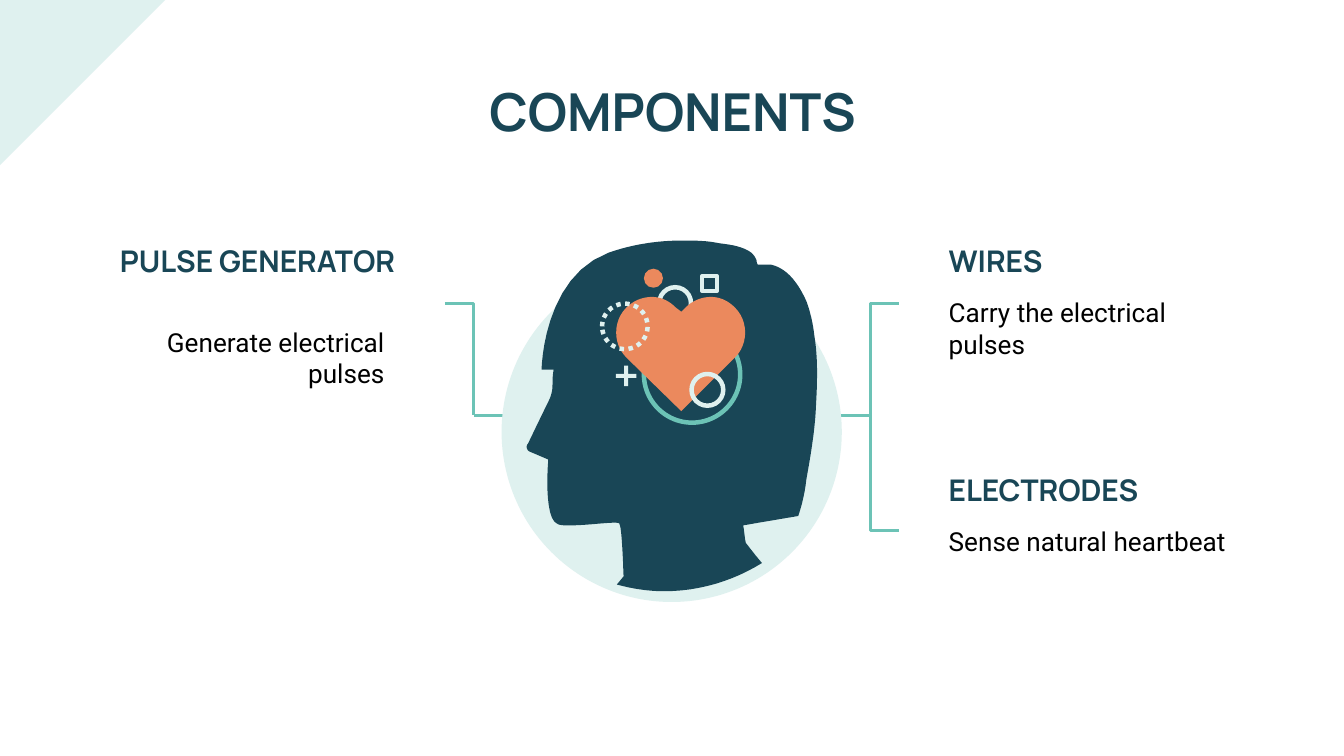
from dataclasses import dataclass

from lxml import etree
from pptx import Presentation, util as u
from pptx.dml.color import RGBColor
from pptx.enum import dml, shapes, text
from pptx.oxml.ns import qn


@dataclass(frozen=True)
class Theme:
    """Colours, fonts and type sizes."""
    navy: str = "194656"
    mint: str = "DFF1EF"
    teal: str = "6CC3B6"
    coral: str = "EB895D"
    black: str = "000000"
    heading_font: str = "Manrope"
    body_font: str = "Roboto"
    title_size: float = 28
    heading_size: float = 16
    body_size: float = 14
    connector_width: float = 1.5
    ornament_width: float = 2.4


@dataclass(frozen=True)
class Component:
    """A labelled part; lengths in centimetres."""
    name: str
    description: str
    name_at: tuple[float, float]
    description_at: tuple[float, float]
    align: text.PP_ALIGN = text.PP_ALIGN.LEFT


@dataclass(frozen=True)
class Ornament:
    """An outlined shape given by its centre and size in centimetres."""
    kind: shapes.MSO_SHAPE
    x: float
    y: float
    size: float
    color: str
    dashed: bool = False


THEME = Theme()
KIND = shapes.MSO_SHAPE
INSET = u.Cm(0.25)
COLUMN_WIDTH, NAME_HEIGHT, DESCRIPTION_HEIGHT = 5.74, 1.02, 1.73
HUB_Y = 7.85
CURVE_STEPS = 12
GRID = 0.0254  # centimetres per outline unit
FINENESS = 100

COMPONENTS = [
    Component("PULSE GENERATOR", "Generate electrical pulses", (1.98, 4.34),
              (1.78, 5.92), text.PP_ALIGN.RIGHT),
    Component("WIRES", "Carry the electrical pulses", (17.68, 4.34), (17.68, 5.36)),
    Component("ELECTRODES", "Sense natural heartbeat", (17.68, 8.66), (17.68, 9.68)),
]

# Each elbow runs from a label, sideways and then to the hub line.
ELBOWS = [((8.41, 5.74), (8.95, HUB_Y)),
          ((16.99, 5.74), (16.46, HUB_Y)),
          ((16.99, 10.03), (16.46, HUB_Y))]
HUB_LINES = [((8.95, HUB_Y), (11.0, HUB_Y)), ((14.43, HUB_Y), (16.46, HUB_Y))]

BACK_RINGS = [Ornament(KIND.OVAL, 12.76, 5.73, 0.6, THEME.mint),
              Ornament(KIND.OVAL, 13.08, 7.08, 1.82, THEME.teal)]
FRONT_ORNAMENTS = [Ornament(KIND.OVAL, 11.81, 6.17, 0.86, THEME.mint, dashed=True),
                   Ornament(KIND.OVAL, 13.37, 7.37, 0.6, THEME.mint),
                   Ornament(KIND.RECTANGLE, 13.41, 5.36, 0.28, THEME.mint)]

# Outlines: two numbers are a corner, six are a Bezier curve.
HEAD = [
    (507, 179), (489, 179, 470, 182, 453, 188), (404, 206, 403, 275, 403, 275),
    (412, 275), (410, 286, 413, 289, 408, 299), (404, 307, 393, 330, 393, 330),
    (391, 332, 392, 335, 394, 336), (408, 342), (408, 342, 404, 386, 415, 390),
    (417, 391, 420, 391, 424, 391), (435, 391, 450, 389, 457, 389),
    (459, 389, 461, 389, 461, 390), (463, 393, 464, 429, 464, 429), (459, 435),
    (470, 438, 482, 440, 494, 440), (521, 440, 546, 432, 567, 419),
    (561, 412, 555, 404, 555, 404), (554, 400, 554, 396, 553, 391),
    (576, 387, 594, 384, 594, 384), (597, 375, 599, 366, 600, 357),
    (603, 340, 606, 323, 607, 306), (608, 287, 609, 268, 606, 250),
    (605, 241, 603, 232, 600, 224), (595, 213, 587, 200, 574, 197),
    (571, 197, 568, 197, 564, 197), (563, 196, 563, 194, 563, 194),
    (562, 191, 561, 190, 559, 188), (552, 183, 543, 182, 535, 181),
    (526, 179, 516, 179, 507, 179),
]
HEART = [
    (485, 221), (478, 221, 471, 224, 466, 229), (456, 239, 456, 256, 466, 266),
    (507, 306), (547, 266), (557, 256, 557, 239, 547, 229),
    (542, 224, 536, 221, 529, 221), (522, 221, 515, 224, 510, 229),
    (507, 232), (503, 229), (498, 224, 492, 221, 485, 221),
]


def rgb(color: str) -> RGBColor:
    """Turn a hex string into a colour."""
    return RGBColor.from_string(color)


def paint(shape, color: str) -> None:
    """Give a shape a flat fill without line or shadow."""
    shape.shadow.inherit = False
    shape.fill.solid()
    shape.fill.fore_color.rgb = rgb(color)
    shape.line.fill.background()


def write(shape, words: str, font: str, size: float, color: str,
          align: text.PP_ALIGN, bold: bool = False, space_after: float = 0) -> None:
    """Set and format the one paragraph of a shape."""
    frame = shape.text_frame
    frame.text = words
    frame.word_wrap = True
    frame.auto_size = text.MSO_AUTO_SIZE.NONE
    frame.vertical_anchor = text.MSO_ANCHOR.TOP
    frame.margin_left = frame.margin_right = INSET
    frame.margin_top = frame.margin_bottom = INSET
    paragraph = frame.paragraphs[0]
    paragraph.alignment = align
    paragraph.space_before, paragraph.space_after = u.Pt(0), u.Pt(space_after)
    for run in paragraph.runs:
        run.font.name, run.font.size, run.font.bold = font, u.Pt(size), bold
        run.font.color.rgb = rgb(color)


def add_solid(slide, kind: shapes.MSO_SHAPE, left: float, top: float,
              size: float, color: str):
    """Add a filled preset shape as wide as it is high."""
    shape = slide.shapes.add_shape(kind, u.Cm(left), u.Cm(top), u.Cm(size), u.Cm(size))
    paint(shape, color)
    return shape


def add_ornament(slide, ornament: Ornament) -> None:
    """Add an outlined shape around its centre."""
    half = ornament.size / 2
    shape = add_solid(slide, ornament.kind, ornament.x - half, ornament.y - half,
                      ornament.size, ornament.color)
    shape.fill.background()
    shape.line.color.rgb = rgb(ornament.color)
    shape.line.width = u.Pt(THEME.ornament_width)
    if ornament.dashed:
        shape.line.dash_style = dml.MSO_LINE.ROUND_DOT


def add_outline(slide, segments: list[tuple], color: str) -> None:
    """Add a closed outline of corners and curves."""
    points = [segments[0]]
    for segment in segments[1:]:
        if len(segment) == 2:
            points.append(segment)
            continue
        controls = [points[-1], segment[:2], segment[2:4], segment[4:]]
        for step in range(1, CURVE_STEPS + 1):
            t = step / CURVE_STEPS
            weights = ((1 - t) ** 3, 3 * t * (1 - t) ** 2, 3 * t * t * (1 - t), t ** 3)
            points.append(tuple(sum(w * c[axis] for w, c in zip(weights, controls))
                                for axis in (0, 1)))
    points = [(x * FINENESS, y * FINENESS) for x, y in points]
    builder = slide.shapes.build_freeform(*points[0], scale=u.Cm(GRID) / FINENESS)
    builder.add_line_segments(points[1:], close=True)
    paint(builder.convert_to_shape(), color)


def add_line(slide, start: tuple, end: tuple, elbow: bool = False) -> None:
    """Add a straight connector or one with a single bend."""
    kind = shapes.MSO_CONNECTOR.ELBOW if elbow else shapes.MSO_CONNECTOR.STRAIGHT
    connector = slide.shapes.add_connector(kind, *(u.Cm(v) for v in (*start, *end)))
    connector.line.color.rgb = rgb(THEME.teal)
    connector.line.width = u.Pt(THEME.connector_width)
    properties = connector._element.spPr
    if elbow:
        properties.find(qn("a:prstGeom")).set("prst", "bentConnector2")
    etree.SubElement(properties, qn("a:effectLst"))


def add_label(slide, at: tuple, height: float, words: str, **style) -> None:
    """Add a text box of column width."""
    box = slide.shapes.add_textbox(u.Cm(at[0]), u.Cm(at[1]),
                                   u.Cm(COLUMN_WIDTH), u.Cm(height))
    write(box, words, space_after=8, **style)


def add_component(slide, component: Component) -> None:
    """Add the name and the description of a part."""
    add_label(slide, component.name_at, NAME_HEIGHT, component.name,
              font=THEME.heading_font, size=THEME.heading_size, color=THEME.navy,
              align=component.align, bold=True)
    add_label(slide, component.description_at, DESCRIPTION_HEIGHT,
              component.description, font=THEME.body_font, size=THEME.body_size,
              color=THEME.black, align=component.align)


def add_illustration(slide) -> None:
    """Draw the head with the heart and its ornaments."""
    add_solid(slide, KIND.OVAL, 9.48, 4.95, 6.43, THEME.mint)
    add_outline(slide, HEAD, THEME.navy)
    for ring in BACK_RINGS:
        add_ornament(slide, ring)
    add_outline(slide, HEART, THEME.coral)
    plus = add_solid(slide, KIND.CROSS, 11.64, 6.91, 0.39, THEME.mint)
    plus.adjustments[0] = 0.4
    for ornament in FRONT_ORNAMENTS:
        add_ornament(slide, ornament)
    add_solid(slide, KIND.OVAL, 12.17, 5.08, 0.36, THEME.coral)


def main() -> None:
    """Build and save the slide."""
    presentation = Presentation()
    presentation.slide_width, presentation.slide_height = u.Cm(25.4), u.Cm(14.29)
    slide = presentation.slides.add_slide(presentation.slide_layouts[5])
    corner = add_solid(slide, KIND.RIGHT_TRIANGLE, 0, 0, 3.12, THEME.mint)
    corner.rotation = 90
    title = slide.shapes.title
    title.left, title.top, title.width, title.height = (
        u.Cm(v) for v in (1.98, 1.24, 21.46, 1.6))
    write(title, "COMPONENTS", THEME.heading_font, THEME.title_size, THEME.navy,
          text.PP_ALIGN.CENTER, bold=True)
    for component in COMPONENTS:
        add_component(slide, component)
    for start, end in ELBOWS:
        add_line(slide, start, end, elbow=True)
    for start, end in HUB_LINES:
        add_line(slide, start, end)
    add_illustration(slide)
    presentation.save("out.pptx")


main()
